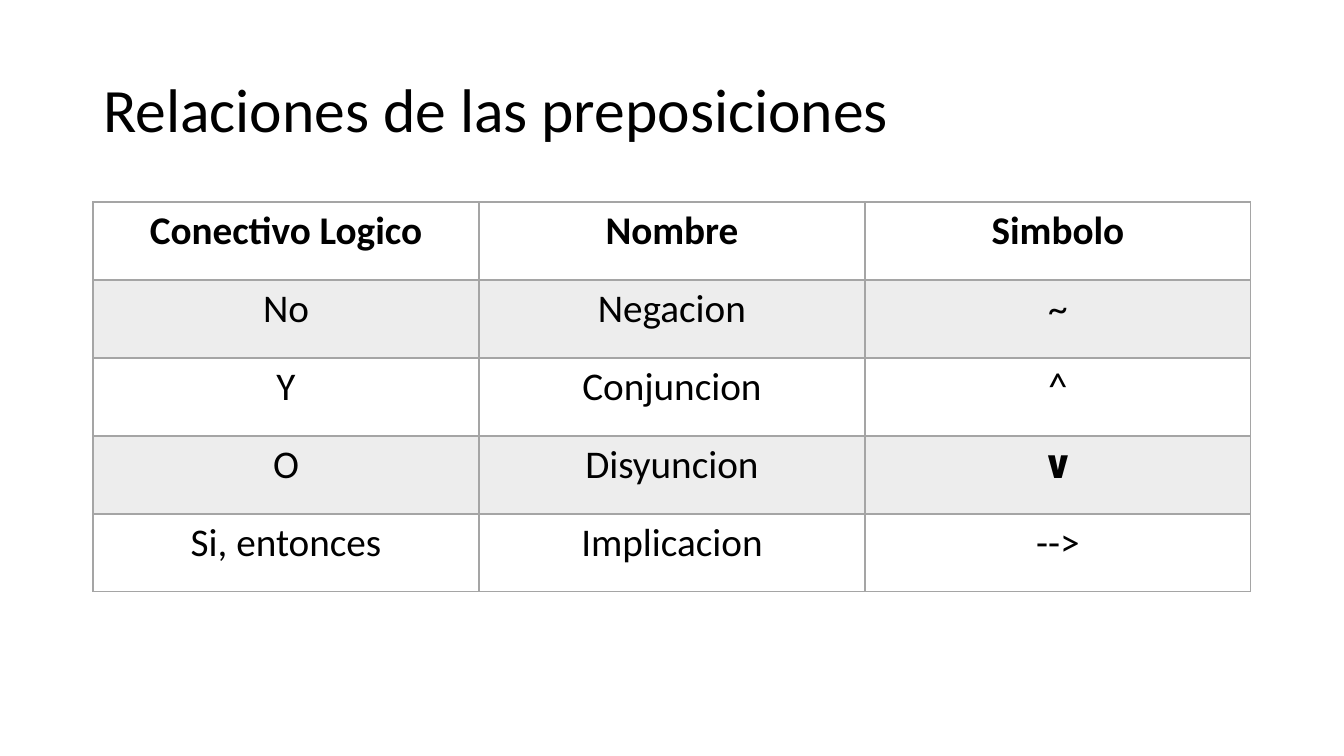
import pptx
import pptx.dml.color
import pptx.enum.text
import pptx.oxml
import pptx.oxml.ns
import pptx.util

COLORS = {"text": "000000", "line": "A5A5A5", "band": "EDEDED"}
FONT = "Calibri"
PX = 12192000 / 1344
ROWS = [
    ["Conectivo Logico", "Nombre", "Simbolo"],
    ["No", "Negacion", "~"],
    ["Y", "Conjuncion", "^"],
    ["O", "Disyuncion", "∨"],
    ["Si, entonces", "Implicacion", "-->"],
]


def px(count):
    return pptx.util.Emu(round(count * PX))


def style(text, size, align, bold):
    text.alignment = align
    font = text.runs[0].font
    font.name = FONT
    font.size = pptx.util.Pt(size)
    font.bold = bold
    font.color.rgb = pptx.dml.color.RGBColor.from_string(COLORS["text"])


deck = pptx.Presentation()
deck.slide_width, deck.slide_height = px(1344), px(756)
slide = deck.slides.add_slide(deck.slide_layouts[5])

title = slide.shapes.title
title.left, title.top, title.width, title.height = px(93), px(40), px(1159), px(146)
frame = title.text_frame
frame.text = "Relaciones de las preposiciones"
frame.vertical_anchor = pptx.enum.text.MSO_ANCHOR.MIDDLE
frame.paragraphs[0].line_spacing = 0.9
style(frame.paragraphs[0], 44, pptx.enum.text.PP_ALIGN.LEFT, False)

col_width, row_height = px(386), px(78)
table = slide.shapes.add_table(
    len(ROWS), 3, px(93), px(202), col_width * 3, row_height * len(ROWS)
).table
table.first_row = table.horz_banding = False
for col in table.columns:
    col.width = col_width

for r, labels in enumerate(ROWS):
    table.rows[r].height = row_height
    for c, label in enumerate(labels):
        cell = table.cell(r, c)
        cell.text_frame.text = label
        style(cell.text_frame.paragraphs[0], 28, pptx.enum.text.PP_ALIGN.CENTER,
              r == 0 or label == "∨")

        # Borders come before the fill in the cell properties
        props = cell._tc.get_or_add_tcPr()
        for side in "LRTB":
            under_head = (r, side) in [(0, "B"), (1, "T")]
            width = pptx.util.Pt(2 if under_head else 1)
            props.append(pptx.oxml.parse_xml(
                f'<a:ln{side} {pptx.oxml.ns.nsdecls("a")} w="{width}"><a:solidFill>'
                f'<a:srgbClr val="{COLORS["line"]}"/></a:solidFill></a:ln{side}>'
            ))
        if r % 2:
            cell.fill.solid()
            cell.fill.fore_color.rgb = pptx.dml.color.RGBColor.from_string(COLORS["band"])
        else:
            cell.fill.background()

deck.save("out.pptx")
